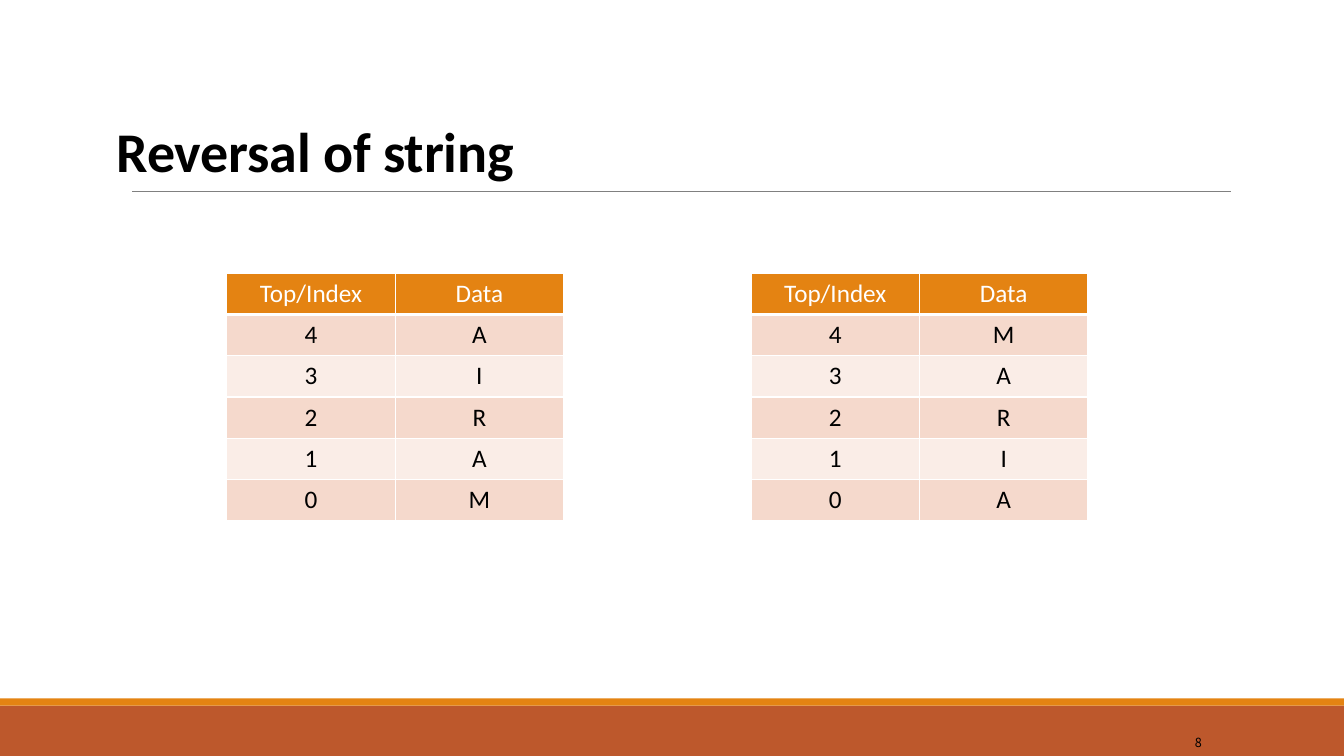
import pptx
import pptx.util
import pptx.dml.color
import pptx.enum.shapes
import pptx.enum.text
import pptx.oxml
import pptx.oxml.ns
import lxml.etree

Inches, Pt = pptx.util.Inches, pptx.util.Pt

# Content
TITLE = "Reversal of string"
PAGE = "8"
HEAD = ("Top/Index", "Data")
STACKS = [(2.25, "AIRAM"), (7.45, "MARIA")]  # left edge, data from top to bottom
BARS = [(7, 0.5, "rust"), (6.93, 0.07, "amber")]  # top, height, colour
COLORS = {"rust": "BD582C", "amber": "E48312", "rule": "808080", "black": "000000",
          "white": "FFFFFF", "dark": "F5D9CC", "light": "FAEDE7"}
FONT = "Calibri"
WIDE, HIGH = 13.33, 7.5
TOP, COL, ROW = 2.71, 1.67, 0.41


def rgb(name):
    return pptx.dml.color.RGBColor.from_string(COLORS[name])


def style(para, size, color, face=FONT, bold=False):
    para.font.name, para.font.size, para.font.bold = face, Pt(size), bold
    para.font.color.rgb = rgb(color)


def add_text(text, left, top, width, height):
    frame = slide.shapes.add_textbox(
        Inches(left), Inches(top), Inches(width), Inches(height)).text_frame
    frame.word_wrap = True
    frame.text = text
    return frame, frame.paragraphs[0]


def edge(cell, side, width):
    props = cell._tc.get_or_add_tcPr()
    line = lxml.etree.SubElement(props, pptx.oxml.ns.qn("a:" + side), w=str(Pt(width)))
    fill = lxml.etree.SubElement(line, pptx.oxml.ns.qn("a:solidFill"))
    lxml.etree.SubElement(fill, pptx.oxml.ns.qn("a:srgbClr"), val=COLORS["white"])


def add_stack(left, data):
    rows = [HEAD] + [(str(len(data) - 1 - i), item) for i, item in enumerate(data)]
    table = slide.shapes.add_table(
        len(rows), len(HEAD), Inches(left), Inches(TOP),
        Inches(COL * len(HEAD)), Inches(ROW * len(rows))).table
    for r, row in enumerate(rows):
        table.rows[r].height = Inches(ROW)
        shade = "amber" if r == 0 else "dark" if r % 2 else "light"
        for c, text in enumerate(row):
            cell = table.cell(r, c)
            cell.text = text
            para = cell.text_frame.paragraphs[0]
            para.alignment = pptx.enum.text.PP_ALIGN.CENTER
            style(para, 18, "black" if r else "white")
            # Borders go before the fill in the cell properties
            for side in ("lnL", "lnR", "lnT", "lnB"):
                thick = (r, side) in ((0, "lnB"), (1, "lnT"))
                edge(cell, side, 3 if thick else 1)
            cell.fill.solid()
            cell.fill.fore_color.rgb = rgb(shade)


deck = pptx.Presentation()
deck.slide_width, deck.slide_height = Inches(WIDE), Inches(HIGH)
slide = deck.slides.add_slide(deck.slide_layouts[6])

# Footer bars
for top, height, color in BARS:
    bar = slide.shapes.add_shape(
        pptx.enum.shapes.MSO_SHAPE.RECTANGLE, 0, Inches(top), Inches(WIDE), Inches(height))
    bar.shadow.inherit = False
    bar.fill.solid()
    bar.fill.fore_color.rgb = rgb(color)
    bar.line.fill.background()

# Rule under the title
rule = slide.shapes.add_connector(
    pptx.enum.shapes.MSO_CONNECTOR.STRAIGHT,
    Inches(1.31), Inches(1.9), Inches(12.21), Inches(1.9))
rule.line.color.rgb = rgb("rule")
rule.line.width = Pt(0.5)
lxml.etree.SubElement(rule._element.spPr, pptx.oxml.ns.qn("a:effectLst"))

# Title
frame, para = add_text(TITLE, 1.05, 0.88, 11.23, 1.33)
frame.vertical_anchor = pptx.enum.text.MSO_ANCHOR.MIDDLE
para.line_spacing = 0.85
para._p.get_or_add_pPr().set("marL", str(Inches(0.01)))
style(para, 40, "black", bold=True)
para.runs[0].font._element.set("spc", "-10")

# Page number
frame, para = add_text(PAGE, 11.81, 7.24, 0.15, 0.48)
frame.margin_left = frame.margin_right = frame.margin_bottom = 0
frame.margin_top = Inches(0.05)
para._p.get_or_add_pPr().set("marL", str(Inches(0.04)))
style(para, 9, "black", "Noto Sans CJK KR")

# Stack tables
for left, data in STACKS:
    add_stack(left, data)

deck.save("out.pptx")
